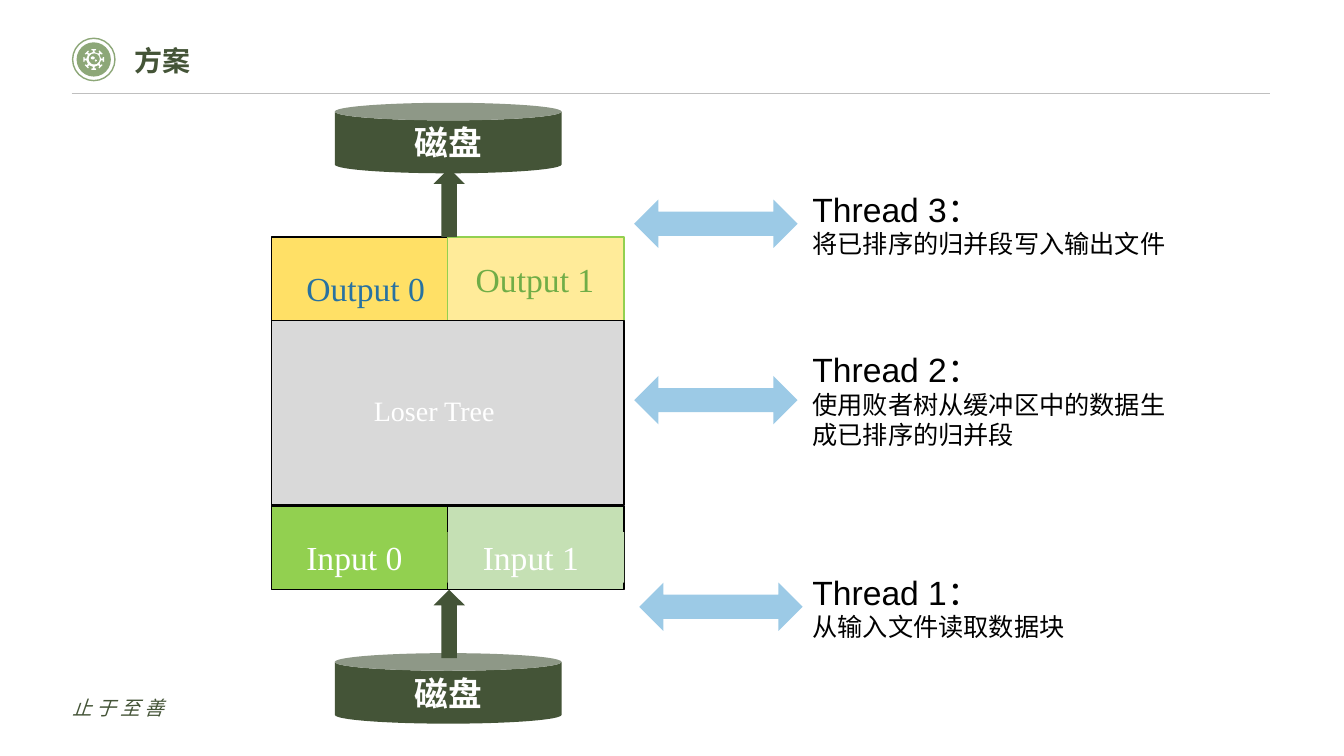
import math

import pptx
import pptx.util
import pptx.dml.color
import pptx.enum.shapes
import pptx.enum.text
import pptx.oxml.ns
from lxml import etree

Inches = pptx.util.Inches
Pt = pptx.util.Pt
RGBColor = pptx.dml.color.RGBColor
SHAPE = pptx.enum.shapes.MSO_SHAPE
ANCHOR = pptx.enum.text.MSO_ANCHOR
ALIGN = pptx.enum.text.PP_ALIGN
qn = pptx.oxml.ns.qn

WHITE = RGBColor(0xFF, 0xFF, 0xFF)
BLACK = RGBColor(0x00, 0x00, 0x00)
DARK_GREEN = RGBColor(0x44, 0x54, 0x37)
SAGE = RGBColor(0x8D, 0xA7, 0x78)
RULE_GRAY = RGBColor(0xBF, 0xBF, 0xBF)
TREE_GRAY = RGBColor(0xD9, 0xD9, 0xD9)
LIME = RGBColor(0x92, 0xD0, 0x50)
PALE_GREEN = RGBColor(0xC5, 0xE0, 0xB4)
YELLOW = RGBColor(0xFF, 0xE0, 0x66)
PALE_YELLOW = RGBColor(0xFF, 0xEB, 0x99)
TEXT_BLUE = RGBColor(0x28, 0x72, 0xA1)
TEXT_GREEN = RGBColor(0x70, 0xAD, 0x47)
ARROW_BLUE = RGBColor(0x9C, 0xCA, 0xE6)
CJK = "Noto Sans CJK SC"
SERIF = "Times New Roman"

prs = pptx.Presentation()
prs.slide_width = Inches(13.33)
prs.slide_height = Inches(7.5)
slide = prs.slides.add_slide(prs.slide_layouts[5])
shapes = slide.shapes


def add_block(kind, box, fill=None, line=None):
    block = shapes.add_shape(kind, *map(Inches, box))
    block.shadow.inherit = False
    if fill is None:
        block.fill.background()
    else:
        block.fill.solid()
        block.fill.fore_color.rgb = fill
    if line is None:
        block.line.fill.background()
    else:
        block.line.color.rgb = line
        block.line.width = Pt(1)
    return block


def write(paragraph, text, size, face, color, bold=False, align=ALIGN.LEFT):
    paragraph.text = text
    paragraph.alignment = align
    font = paragraph.font
    font.size = Pt(size)
    font.name = face
    font.bold = bold
    font.color.rgb = color
    east_asian = etree.SubElement(font._element, qn("a:ea"))
    east_asian.set("typeface", CJK)
    return font


add_block(SHAPE.OVAL, (0.72, 0.38, 0.42, 0.42), line=SAGE)
add_block(SHAPE.OVAL, (0.76, 0.42, 0.34, 0.34), SAGE)

tooth = [(-22.5, 0.07), (-7, 0.073), (-5, 0.09), (-13, 0.092), (-13, 0.105),
         (13, 0.105), (13, 0.092), (5, 0.09), (7, 0.073)]
gear_points = []
for turn in range(0, 360, 45):
    for offset, radius in tooth:
        angle = math.radians(turn + offset)
        gear_points.append((Inches(0.93 + radius * math.cos(angle)),
                            Inches(0.59 + radius * math.sin(angle))))
outline = shapes.build_freeform(*gear_points[0])
outline.add_line_segments(gear_points[1:], close=True)
gear = outline.convert_to_shape()
gear.shadow.inherit = False
gear.fill.solid()
gear.fill.fore_color.rgb = WHITE
gear.line.fill.background()
add_block(SHAPE.OVAL, (0.88, 0.53, 0.11, 0.11), SAGE)
add_block(SHAPE.OVAL, (0.9, 0.56, 0.04, 0.03), WHITE)
add_block(SHAPE.OVAL, (0.94, 0.59, 0.02, 0.02), WHITE)

header_rule = shapes.add_connector(pptx.enum.shapes.MSO_CONNECTOR.STRAIGHT,
                                   Inches(0.71), Inches(0.93), Inches(12.6), Inches(0.93))
header_rule.line.color.rgb = RULE_GRAY
header_rule.line.width = Pt(0.5)
etree.SubElement(header_rule._element.spPr, qn("a:effectLst"))

title = shapes.title
title.left, title.top, title.width, title.height = map(Inches, (1.33, 0.38, 9.76, 0.44))
title.text_frame.margin_left = 0
title.text_frame.vertical_anchor = ANCHOR.TOP
write(title.text_frame.paragraphs[0], "方案", 20, CJK, DARK_GREEN, bold=True)

motto = shapes.add_textbox(*map(Inches, (0.72, 6.82, 3.66, 0.4))).text_frame
motto.word_wrap = True
motto.margin_left = 0
motto.vertical_anchor = ANCHOR.MIDDLE
motto_font = write(motto.paragraphs[0], "止于至善", 14, CJK, DARK_GREEN)
motto_font.italic = True
motto_font._element.set("spc", "300")

buffers = [
    ("Input 1", (4.44, 5.02, 1.75, 0.83), (4.69, 5.28, 1.5, 0.5), PALE_GREEN, BLACK, WHITE, 24),
    ("Input 0", (2.69, 5.02, 1.75, 0.83), (2.94, 5.28, 1.5, 0.5), LIME, BLACK, WHITE, 24),
    ("Output 0", (2.69, 2.35, 1.75, 0.83), (2.94, 2.61, 1.5, 0.5), YELLOW, BLACK, TEXT_BLUE, 24),
    ("Output 1", (4.44, 2.35, 1.75, 0.83), (4.62, 2.52, 1.5, 0.5), PALE_YELLOW, LIME, TEXT_GREEN, 24),
    ("Loser Tree", (2.69, 3.18, 3.5, 1.83), (3.61, 3.85, 1.83, 0.43), TREE_GRAY, BLACK, WHITE, 20),
]
for name, frame_box, label_box, fill, border, color, size in buffers:
    add_block(SHAPE.RECTANGLE, frame_box, fill, border)
    label = add_block(SHAPE.RECTANGLE, label_box, fill).text_frame
    label.vertical_anchor = ANCHOR.TOP
    write(label.paragraphs[0], name, size, SERIF, color)

for disk_top in (6.48, 1.02):
    disk = add_block(SHAPE.CAN, (3.32, disk_top, 2.25, 0.7), DARK_GREEN).text_frame
    disk.vertical_anchor = ANCHOR.MIDDLE
    write(disk.paragraphs[0], "磁盘", 24, "Arial", WHITE, bold=True, align=ALIGN.CENTER)

for flow_top in (1.67, 5.85):
    add_block(SHAPE.UP_ARROW, (4.3, flow_top, 0.31, 0.68), DARK_GREEN)

threads = [
    ("Thread 1：", "从输入文件读取数据块", 5.62, 0.81, 6.34, 5.78),
    ("Thread 2：", "使用败者树从缓冲区中的数据生成已排序的归并段", 3.41, 1.11, 6.29, 3.73),
    ("Thread 3：", "将已排序的归并段写入输出文件", 1.82, 0.81, 6.29, 1.98),
]
for heading, duty, top, height, arrow_left, arrow_top in threads:
    note = shapes.add_textbox(*map(Inches, (7.96, top, 3.82, height))).text_frame
    note.word_wrap = True
    write(note.paragraphs[0], heading, 24, "Arial", BLACK)
    write(note.add_paragraph(), duty, 18, "Arial", BLACK)
    add_block(SHAPE.LEFT_RIGHT_ARROW, (arrow_left, arrow_top, 1.62, 0.48), ARROW_BLUE)

prs.save("out.pptx")
